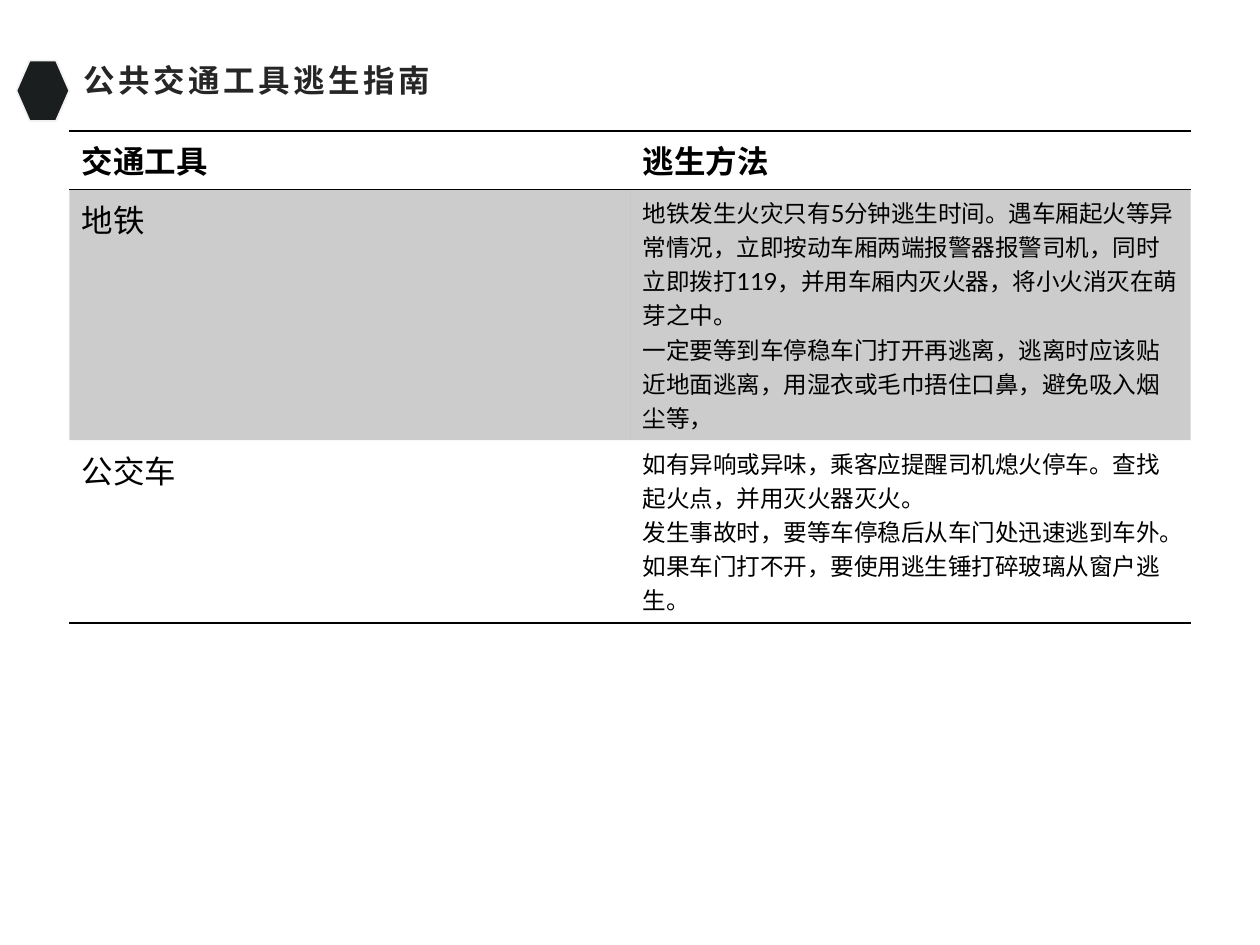
from lxml.etree import SubElement
from pptx import Presentation
from pptx.dml.color import RGBColor
from pptx.enum.shapes import MSO_SHAPE as SHAPE
from pptx.enum.text import MSO_ANCHOR as ANCHOR, PP_ALIGN as ALIGN
from pptx.oxml.ns import qn
from pptx.util import Inches, Pt

BLACK = RGBColor(0x00, 0x00, 0x00)
TITLE_GREY = RGBColor(0x26, 0x26, 0x26)
HEX_FILL = RGBColor(0x1B, 0x1E, 0x1F)
HEX_LINE = RGBColor(0xF2, 0xF2, 0xF2)
CJK_FONT = "Noto Sans CJK SC"
TABLE_FONT = "Lato"


def add_text(paragraph, text, size, font_name, color, bold=False):
    run = paragraph.add_run()
    run.text = text
    font = run.font
    font.size, font.name, font.bold = Pt(size), font_name, bold
    font.color.rgb = color
    SubElement(run._r.get_or_add_rPr(), qn("a:ea"), typeface=CJK_FONT)
    return run


def set_borders(cell, ruled_sides):
    tc_pr = cell._tc.get_or_add_tcPr()
    for side in "LRTB":
        line = SubElement(tc_pr, qn(f"a:ln{side}"), w=str(Pt(1)))
        if side in ruled_sides:
            solid = SubElement(line, qn("a:solidFill"))
            SubElement(solid, qn("a:srgbClr"), val=str(BLACK))
        else:
            SubElement(line, qn("a:noFill"))


prs = Presentation()
prs.slide_width, prs.slide_height = Inches(10), Inches(7.5)
slide = prs.slides.add_slide(prs.slide_layouts[5])

# Hexagon marker beside the title
marker = slide.shapes.add_shape(
    SHAPE.HEXAGON, Inches(0.13), Inches(0.48), Inches(0.42), Inches(0.48))
marker.shadow.inherit = False
marker.fill.solid()
marker.fill.fore_color.rgb = HEX_FILL
marker.line.color.rgb = HEX_LINE
marker.line.width = Pt(1)

# Title
title = slide.shapes.title
title.left, title.top = Inches(0.55), Inches(0.48)
title.width, title.height = Inches(8.9), Inches(0.48)
frame = title.text_frame
frame.margin_left, frame.margin_right = Inches(0.11), Inches(0.08)
frame.margin_top = frame.margin_bottom = Inches(0.04)
frame.vertical_anchor = ANCHOR.TOP
heading = frame.paragraphs[0]
heading.alignment = ALIGN.LEFT
heading.line_spacing = 0.9
heading_run = add_text(heading, "公共交通工具逃生指南", 18, CJK_FONT, TITLE_GREY, True)
heading_run._r.get_or_add_rPr().set("spc", "200")

# Escape guide: each row is a vehicle and its paragraphs of advice
guide_rows = [
    ("交通工具", ["逃生方法"]),
    ("地铁", [
        "地铁发生火灾只有5分钟逃生时间。遇车厢起火等异常情况，立即按动车厢两端报警器报警司机，"
        "同时立即拨打119，并用车厢内灭火器，将小火消灭在萌芽之中。",
        "一定要等到车停稳车门打开再逃离，逃离时应该贴近地面逃离，用湿衣或毛巾捂住口鼻，避免吸入烟尘等，",
    ]),
    ("公交车", [
        "如有异响或异味，乘客应提醒司机熄火停车。查找起火点，并用灭火器灭火。",
        "发生事故时，要等车停稳后从车门处迅速逃到车外。如果车门打不开，要使用逃生锤打碎玻璃从窗户逃生。",
    ]),
]
row_borders = ["TB", "T", "B"]

guide = slide.shapes.add_table(
    len(guide_rows), 2, Inches(0.55), Inches(1.04), Inches(8.9), Inches(1.25)).table
guide.horz_banding = False

for row, (vehicle, advice) in enumerate(guide_rows):
    is_header = row == 0
    for col, lines in enumerate([[vehicle], advice]):
        cell = guide.cell(row, col)
        set_borders(cell, row_borders[row])

        # The first body row is shaded with 20 % black
        if row == 1:
            cell.fill.solid()
            cell.fill.fore_color.rgb = BLACK
            shade = cell._tc.tcPr.find(f"{qn('a:solidFill')}/{qn('a:srgbClr')}")
            SubElement(shade, qn("a:alpha"), val="20000")
        else:
            cell.fill.background()

        size = 18 if is_header or col == 0 else 13.5
        for index, line in enumerate(lines):
            paragraphs = cell.text_frame
            paragraph = paragraphs.add_paragraph() if index else paragraphs.paragraphs[0]
            add_text(paragraph, line, size, TABLE_FONT, BLACK, is_header)

prs.save("out.pptx")
